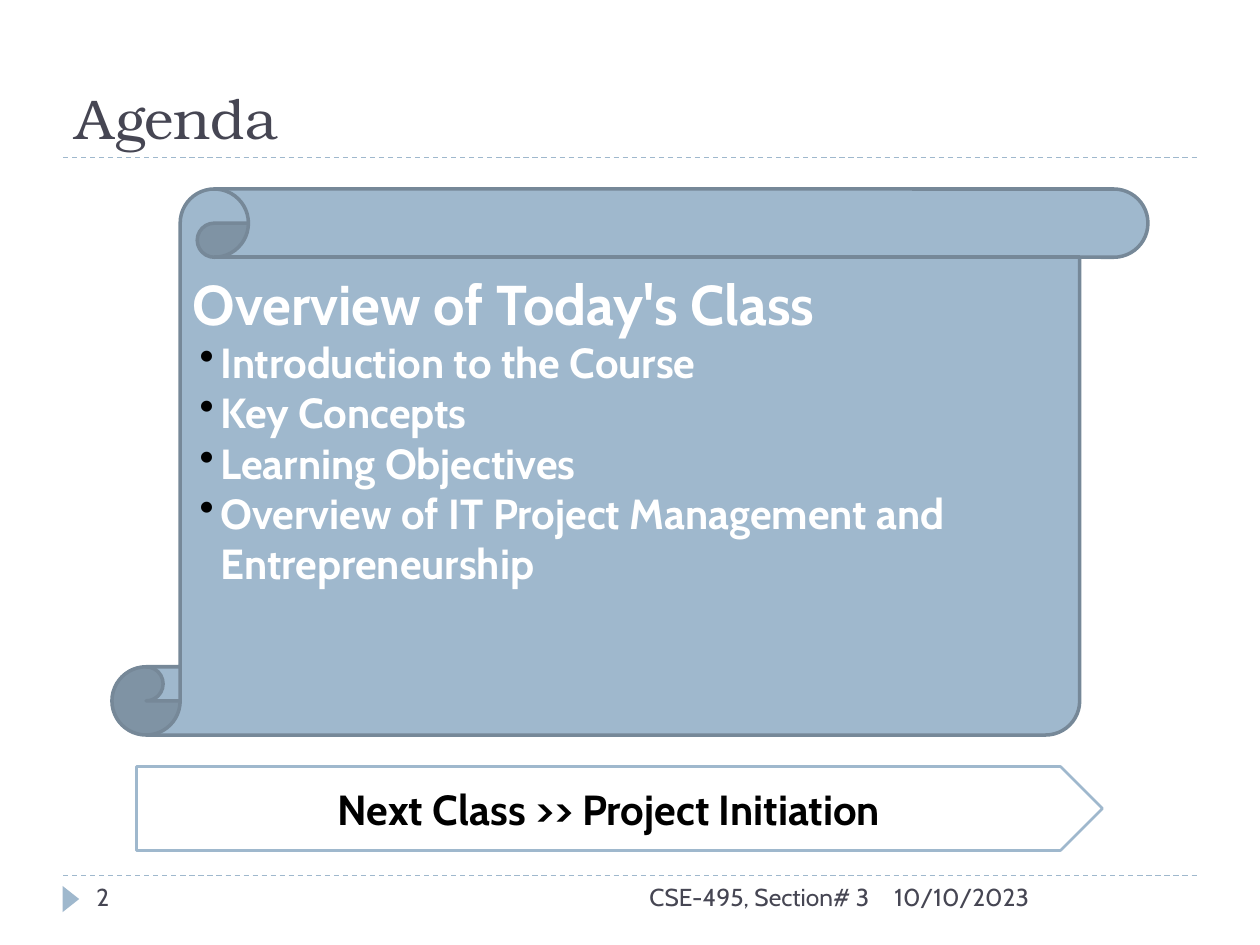
from dataclasses import dataclass

from lxml.etree import SubElement
from pptx import Presentation
from pptx.dml.color import RGBColor
from pptx.enum.dml import MSO_LINE
from pptx.enum.shapes import MSO_CONNECTOR, MSO_SHAPE
from pptx.enum.text import MSO_ANCHOR, PP_ALIGN
from pptx.oxml.ns import qn
from pptx.util import Pt

WHITE = RGBColor(0xFF, 0xFF, 0xFF)
BLACK = RGBColor(0x00, 0x00, 0x00)
SLATE = RGBColor(0x46, 0x46, 0x53)
BLUE = RGBColor(0x9F, 0xB8, 0xCD)
BLUE_EDGE = RGBColor(0x76, 0x88, 0x98)
BODY_FONT = "Cabin"
TITLE_FONT = "TeX Gyre Bonum"

RULE_LEFT, RULE_RIGHT = 36, 684
TITLE_RULE, FOOTER_RULE = 90, 500.4
FOOTER_HEIGHT = 28.8
# Room kept free below the agenda, two lines of 24 pt text
AGENDA_BOTTOM_INSET = 61.2


@dataclass
class FooterItem:
    text: str
    left: float
    width: float
    align: PP_ALIGN = PP_ALIGN.LEFT


@dataclass
class Panel:
    kind: MSO_SHAPE
    left: float
    top: float
    width: float
    height: float
    fill: RGBColor
    edge: RGBColor | None = None
    edge_width: float = 0
    adjustment: float = 0.5
    rotation: float = 0


FOOTER = [
    FooterItem("10/10/2023", 504, 180),
    FooterItem("CSE-495, Section# 3", 228, 276, PP_ALIGN.RIGHT),
    FooterItem("2", 48, 156),
]
AGENDA_HEADING = "Overview of Today's Class"
AGENDA = [
    "Introduction to the Course",
    "Key Concepts",
    "Learning Objectives",
    "Overview of IT Project Management and Entrepreneurship",
]
PAGE_MARK = Panel(MSO_SHAPE.ISOSCELES_TRIANGLE, 33, 509, 15, 9.5, BLUE, rotation=90)
SCROLL = Panel(MSO_SHAPE.VERTICAL_SCROLL, 64, 108, 592, 312, BLUE, BLUE_EDGE, 2, 0.125)
NEXT_CLASS = Panel(MSO_SHAPE.PENTAGON, 78, 438, 552, 48, WHITE, BLUE, 1.5)


def style_paragraph(paragraph, size: float, color: RGBColor, font: str = BODY_FONT,
                    bold: bool = False, align: PP_ALIGN = PP_ALIGN.LEFT) -> None:
    paragraph.alignment = align
    paragraph.font.size = Pt(size)
    paragraph.font.name = font
    paragraph.font.bold = bold
    paragraph.font.color.rgb = color


def add_bullet(paragraph, color: RGBColor) -> None:
    """Hang a bullet before the paragraph; call it before the font is set."""
    properties = paragraph._p.get_or_add_pPr()
    properties.set("marL", str(Pt(16)))
    properties.set("indent", str(Pt(-12)))
    bullet_color = SubElement(properties, qn("a:buClr"))
    SubElement(bullet_color, qn("a:srgbClr"), val=str(color))
    SubElement(properties, qn("a:buChar"), char="•")


def add_rule(slide, y: float) -> None:
    rule = slide.shapes.add_connector(
        MSO_CONNECTOR.STRAIGHT, Pt(RULE_LEFT), Pt(y), Pt(RULE_RIGHT), Pt(y))
    rule.line.color.rgb = BLUE
    rule.line.width = Pt(0.75)
    rule.line.dash_style = MSO_LINE.DASH
    SubElement(rule._element.spPr, qn("a:effectLst"))


def add_panel(slide, panel: Panel):
    shape = slide.shapes.add_shape(
        panel.kind, Pt(panel.left), Pt(panel.top), Pt(panel.width), Pt(panel.height))
    shape.shadow.inherit = False
    shape.adjustments[0] = panel.adjustment
    shape.rotation = panel.rotation
    shape.fill.solid()
    shape.fill.fore_color.rgb = panel.fill
    if panel.edge is None:
        shape.line.fill.background()
    else:
        shape.line.color.rgb = panel.edge
        shape.line.width = Pt(panel.edge_width)
    shape.text_frame.word_wrap = True
    shape.text_frame.vertical_anchor = MSO_ANCHOR.MIDDLE
    return shape


def add_footer_item(slide, item: FooterItem) -> None:
    box = slide.shapes.add_textbox(
        Pt(item.left), Pt(FOOTER_RULE), Pt(item.width), Pt(FOOTER_HEIGHT))
    box.text_frame.word_wrap = True
    box.text_frame.text = item.text
    style_paragraph(box.text_frame.paragraphs[0], 14, SLATE, align=item.align)


def format_title(title) -> None:
    title.left, title.top, title.width, title.height = Pt(36), Pt(12), Pt(648), Pt(78)
    title.text_frame.text = "Agenda"
    title.text_frame.vertical_anchor = MSO_ANCHOR.BOTTOM
    style_paragraph(title.text_frame.paragraphs[0], 32, SLATE, TITLE_FONT)


def add_agenda(slide) -> None:
    frame = add_panel(slide, SCROLL).text_frame
    frame.margin_bottom = Pt(AGENDA_BOTTOM_INSET)
    frame.text = AGENDA_HEADING
    style_paragraph(frame.paragraphs[0], 32, WHITE, bold=True)
    for topic in AGENDA:
        paragraph = frame.add_paragraph()
        paragraph.text = topic
        add_bullet(paragraph, BLACK)
        style_paragraph(paragraph, 24, WHITE, bold=True)


def add_next_class(slide) -> None:
    frame = add_panel(slide, NEXT_CLASS).text_frame
    frame.text = "Next Class >> Project Initiation"
    style_paragraph(frame.paragraphs[0], 24, BLACK, bold=True, align=PP_ALIGN.CENTER)


def main() -> None:
    presentation = Presentation()
    presentation.slide_width, presentation.slide_height = Pt(720), Pt(540)
    slide = presentation.slides.add_slide(presentation.slide_layouts[5])
    for y in (FOOTER_RULE, TITLE_RULE):
        add_rule(slide, y)
    add_panel(slide, PAGE_MARK)
    format_title(slide.shapes.title)
    for item in FOOTER:
        add_footer_item(slide, item)
    add_agenda(slide)
    add_next_class(slide)
    presentation.save("out.pptx")


if __name__ == "__main__":
    main()
